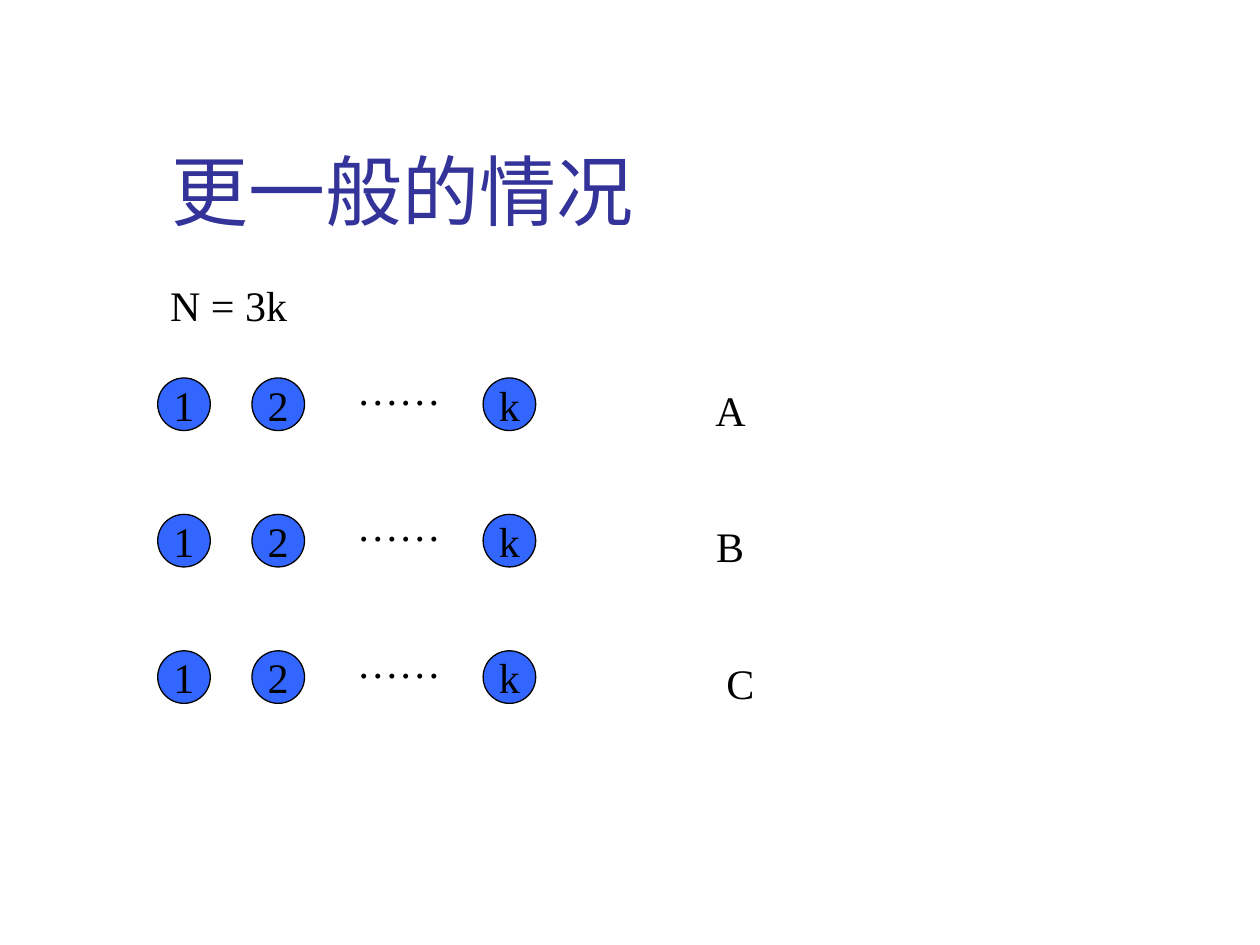
from pptx import Presentation
from pptx.dml.color import RGBColor as RGB
from pptx.enum.shapes import MSO_SHAPE as Shape
from pptx.enum.text import MSO_ANCHOR as Anchor, MSO_AUTO_SIZE as Auto, PP_ALIGN as Align
from pptx.util import Cm, Pt

COLORS = {"title": "333399", "text": "000000", "ball": "3366FF", "line": "000000"}
PITCH = 2.75
TOP = 7.62
# Row name with the left edge and width of its label
LABELS = [("A", 12.5, 4.45), ("B", 13.13, 3.18), ("C", 12.7, 4.45)]
BALLS = [("1", 3.18), ("2", 5.08), ("k", 9.74)]


class Deck:
    """Holds the style and the current slide."""

    font = "Times New Roman"
    size = 24
    ball_size = 1.06

    def __init__(self):
        self.prs = Presentation()
        self.prs.slide_width, self.prs.slide_height = Cm(25.4), Cm(19.05)
        self.slide = self.prs.slides.add_slide(self.prs.slide_layouts[5])

    def color(self, name):
        return RGB.from_string(COLORS[name])

    def set_text(self, frame, text, align, name="text", font=font, size=size):
        frame.text = text
        par = frame.paragraphs[0]
        par.alignment = align
        par.font.name, par.font.size = font, Pt(size)
        par.font.color.rgb = self.color(name)

    def title(self, text, x, y, w, h):
        shape = self.slide.shapes.title
        shape.left, shape.top, shape.width, shape.height = map(Cm, (x, y, w, h))
        frame = shape.text_frame
        frame.auto_size = Auto.NONE
        frame.vertical_anchor = Anchor.BOTTOM
        self.set_text(frame, text, Align.LEFT, "title", "Lato", 44)

    def label(self, home, text, x, y, w, align=Align.CENTER):
        box = home.add_textbox(Cm(x), Cm(y), Cm(w), Cm(1.27))
        box.text_frame.word_wrap = True
        self.set_text(box.text_frame, text, align)

    def ball(self, home, text, x, y):
        side = Cm(self.ball_size)
        shape = home.add_shape(Shape.OVAL, Cm(x), Cm(y), side, side)
        shape.shadow.inherit = False
        shape.fill.solid()
        shape.fill.fore_color.rgb = self.color("ball")
        shape.line.color.rgb = self.color("line")
        shape.line.width = Pt(0.75)
        frame = shape.text_frame
        frame.word_wrap = False
        frame.vertical_anchor = Anchor.MIDDLE
        self.set_text(frame, text, Align.CENTER)

    def row(self, y):
        """Draws the balls 1, 2 … k as one group."""
        group = self.slide.shapes.add_group_shape().shapes
        for text, x in BALLS:
            self.ball(group, text, x, y)
        self.label(group, "……", 6.77, y - 0.42, 2.54)


def main():
    deck = Deck()
    shapes = deck.slide.shapes
    deck.title("更一般的情况", 3.2, 1.7, 21.64, 3.18)
    deck.label(shapes, "N = 3k", 3.18, 5.5, 14.4, Align.LEFT)
    for i, (name, x, w) in enumerate(LABELS):
        y = TOP + i * PITCH
        deck.row(y)
        deck.label(shapes, name, x, y, w)
    deck.prs.save("out.pptx")


if __name__ == "__main__":
    main()
